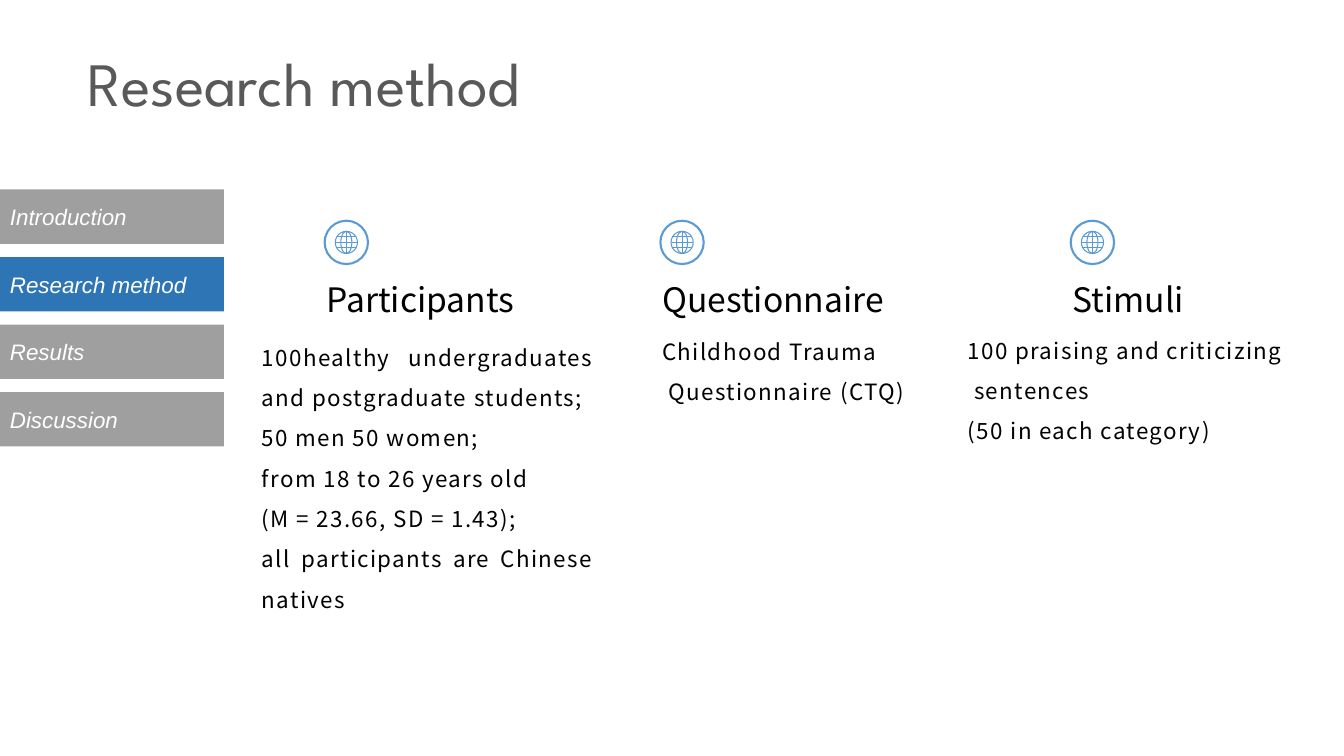
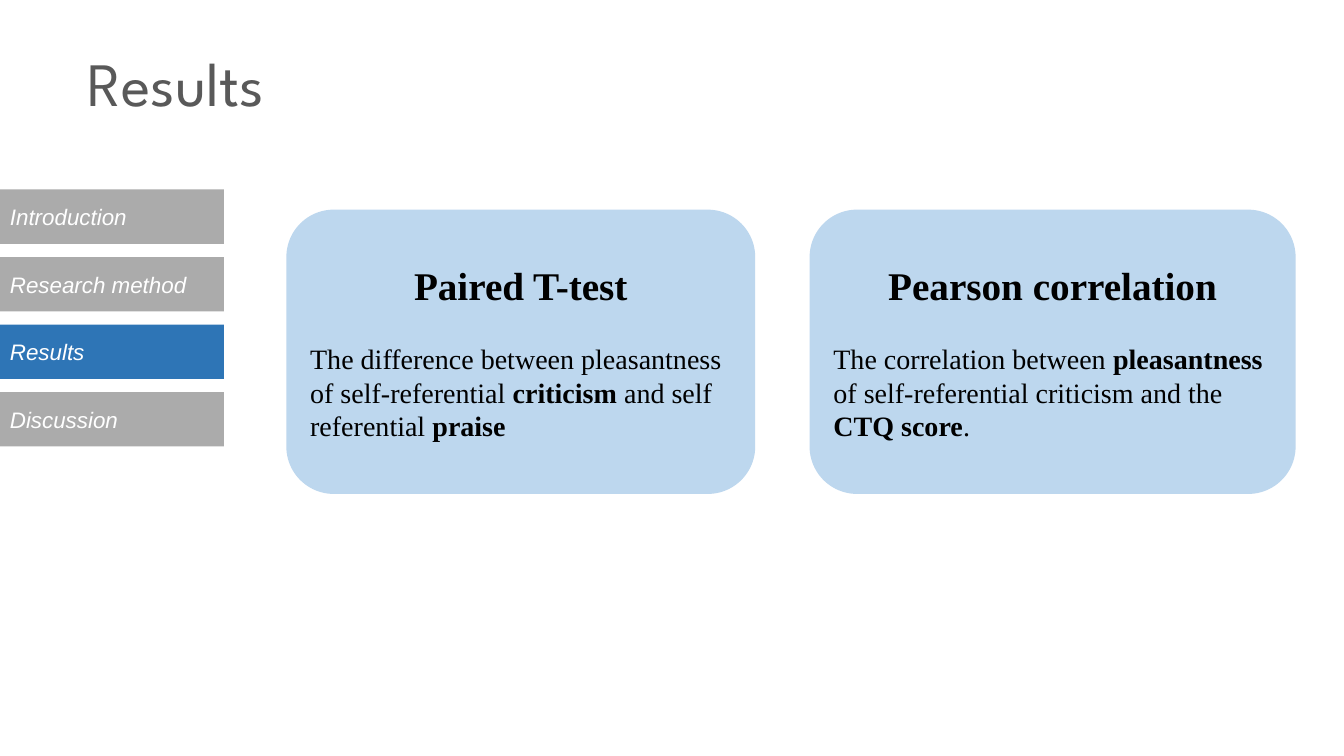
from math import sqrt

from pptx import Presentation
from pptx.dml.color import RGBColor
from pptx.enum import shapes, text
from pptx.oxml.ns import qn
from pptx.util import Inches, Pt
from lxml import etree

SECTIONS = ["Introduction", "Research method", "Results", "Discussion"]
ACTIVE, CARD, ICON = "2E75B6", "BDD7EE", "5B9BD5"
BLACK, WHITE, TITLE = "000000", "FFFFFF", "595959"
SANS, SERIF = "Noto Sans CJK SC", "Times New Roman"
ALIGN = text.PP_ALIGN


def color(hex_value):
    return RGBColor.from_string(hex_value)


def paint(shape, fill, line=None, width=1.5, opacity=None):
    shape.shadow.inherit = False
    if fill:
        shape.fill.solid()
        shape.fill.fore_color.rgb = color(fill)
    else:
        shape.fill.background()
    if opacity is not None:
        tone = shape.fill._xPr.find(qn("a:solidFill"))[0]
        etree.SubElement(tone, qn("a:alpha")).set("val", str(opacity * 1000))
    if line:
        shape.line.color.rgb = color(line)
        shape.line.width = Pt(width)
    else:
        shape.line.fill.background()


def write(frame, content, *, size, font, ink=BLACK, bold=False, italic=False,
          align=ALIGN.LEFT, leading=1, before=0, tracking=0, append=False):
    """Each paragraph is a string or a list of (words, bold) runs."""
    frame.word_wrap = True
    for index, runs in enumerate(content):
        fresh = index > 0 or append
        paragraph = frame.add_paragraph() if fresh else frame.paragraphs[0]
        paragraph.alignment = align
        paragraph.line_spacing = leading
        paragraph.space_before = Pt(before)
        for words, strong in [(runs, bold)] if isinstance(runs, str) else runs:
            run = paragraph.add_run()
            run.text = words
            run.font.size, run.font.name = Pt(size), font
            run.font.bold, run.font.italic = strong, italic
            run.font.color.rgb = color(ink)
            if tracking:
                run.font._element.set("spc", str(tracking * 100))


def add_shape(slide, kind, box):
    return slide.shapes.add_shape(kind, *map(Inches, box))


def add_text(slide, box, content, **style):
    frame = slide.shapes.add_textbox(*map(Inches, box)).text_frame
    write(frame, content, **style)


def add_line(slide, start, end, ink, width):
    line = slide.shapes.add_connector(shapes.MSO_CONNECTOR.STRAIGHT,
                                      *map(Inches, (*start, *end)))
    line.line.color.rgb = color(ink)
    line.line.width = Pt(width)
    etree.SubElement(line._element.spPr, qn("a:effectLst"))


# Shared title and section tabs
def new_slide(deck, current, idle):
    slide = deck.slides.add_slide(deck.slide_layouts[6])
    add_tabs(slide, (0, 1.88, 2.22, 0.54), current, idle)
    add_text(slide, (0.77, 0.48, 11.5, 0.8), [current], size=44,
             font="League Spartan", ink=TITLE, leading=0.9)
    return slide


def add_tabs(slide, box, current, idle, pitch=0.67):
    left, top, width, height = box
    for index, section in enumerate(SECTIONS):
        tab = add_shape(slide, shapes.MSO_SHAPE.RECTANGLE,
                        (left, top + index * pitch, width, height))
        if section == current:
            paint(tab, ACTIVE)
        else:
            paint(tab, idle, opacity=50)
        tab.text_frame.vertical_anchor = text.MSO_ANCHOR.MIDDLE
        write(tab.text_frame, [section], size=16, font="Arial", ink=WHITE, italic=True)


# Globe icon: ring, outline, inner meridian and grid lines
def add_globe(slide, left, top, size=0.43, radius=0.11, stroke=0.75):
    x, y = left + size / 2, top + size / 2
    ring = add_shape(slide, shapes.MSO_SHAPE.OVAL, (left, top, size, size))
    paint(ring, WHITE, line=ICON)
    for half_width in (radius, radius / 2):
        meridian = add_shape(slide, shapes.MSO_SHAPE.OVAL,
                             (x - half_width, y - radius, 2 * half_width, 2 * radius))
        paint(meridian, None, line=ICON, width=stroke)
    add_line(slide, (x, y - radius), (x, y + radius), ICON, stroke)
    for rise in (-radius / 2, 0, radius / 2):
        reach = sqrt(radius ** 2 - rise ** 2)
        add_line(slide, (x - reach, y + rise), (x + reach, y + rise), ICON, stroke)


# Research method column
def add_column(slide, heading, heading_box, details, details_box):
    left, top = heading_box[:2]
    add_globe(slide, left + 0.08, top - 0.53)
    add_text(slide, heading_box, [heading], size=24, font=SANS, align=ALIGN.JUSTIFY)
    add_text(slide, details_box, details, size=16, font=SANS,
             align=ALIGN.JUSTIFY, leading=1.5, tracking=1)


# Results card
def add_card(slide, box, test, summary):
    card = add_shape(slide, shapes.MSO_SHAPE.ROUNDED_RECTANGLE, box)
    paint(card, CARD)
    card.text_frame.vertical_anchor = text.MSO_ANCHOR.MIDDLE
    write(card.text_frame, [test], size=28, font=SERIF, bold=True, align=ALIGN.CENTER)
    write(card.text_frame, [summary], size=20, font=SERIF, before=24, append=True)


def build_method(deck):
    slide = new_slide(deck, "Research method", idle="404040")
    add_column(slide, "Participants", (3.14, 2.72, 2.21, 0.5),
               ["100healthy undergraduates and postgraduate students;",
                "50 men 50 women;", "from 18 to 26 years old",
                "(M = 23.66, SD = 1.43);", "all participants are Chinese natives"],
               (2.5, 3.23, 3.49, 2.88))
    add_column(slide, "Questionnaire", (6.47, 2.72, 2.64, 0.5),
               ["Childhood Trauma", " Questionnaire (CTQ)"],
               (6.47, 3.17, 2.65, 0.86))
    add_column(slide, "Stimuli", (10.54, 2.72, 2.21, 0.5),
               ["100 praising and criticizing", " sentences", "(50 in each category)"],
               (9.5, 3.16, 3.64, 1.67))


def build_results(deck):
    slide = new_slide(deck, "Results", idle="595959")
    add_card(slide, (2.84, 2.08, 4.65, 2.82), "Paired T-test",
             [("The difference between pleasantness of self-referential ", False),
              ("criticism", True), (" and self referential ", False), ("praise", True)])
    add_card(slide, (8.03, 2.08, 4.82, 2.82), "Pearson correlation",
             [("The correlation between ", False), ("pleasantness", True),
              (" of self-referential criticism and the ", False),
              ("CTQ score", True), (".", False)])


deck = Presentation()
deck.slide_width, deck.slide_height = Inches(13.33), Inches(7.5)
build_method(deck)
build_results(deck)
deck.save("out.pptx")
